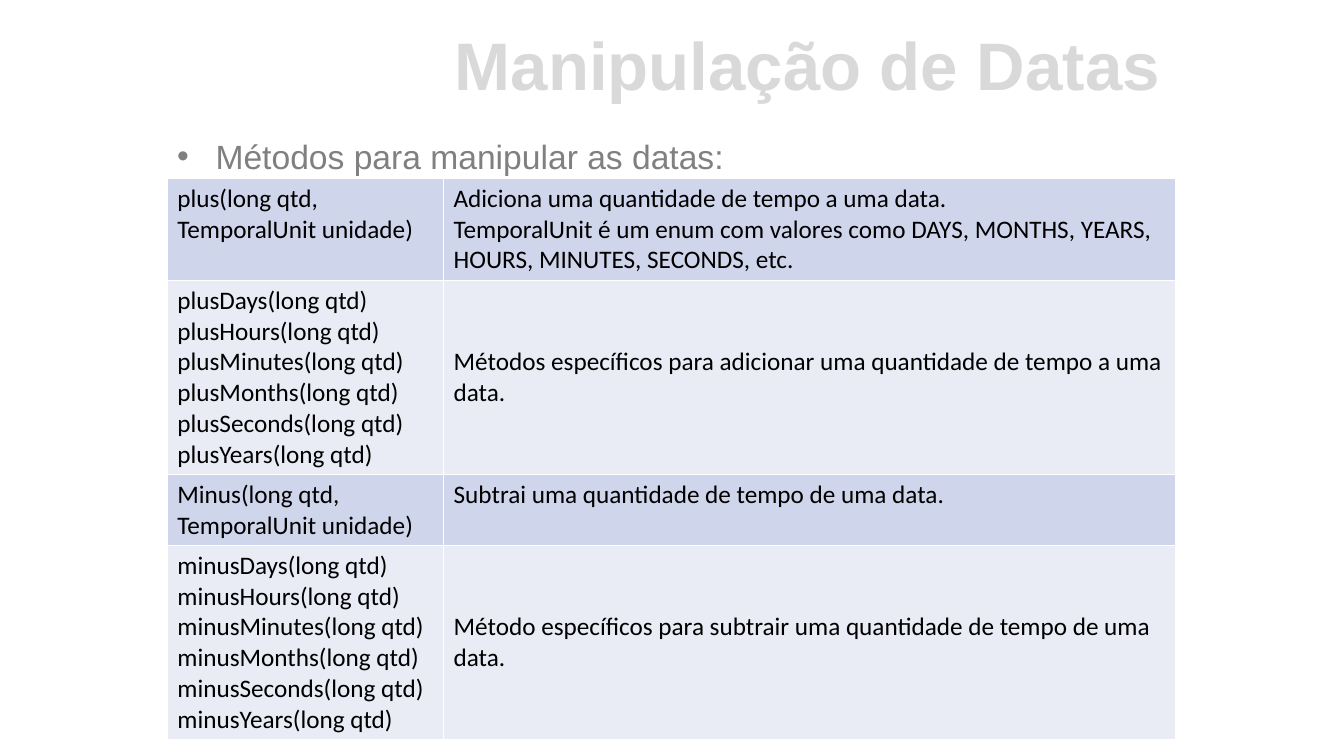
import pptx
import pptx.dml.color
import pptx.enum.text
import pptx.oxml.ns
import pptx.util
from lxml import etree

Inches, Pt = pptx.util.Inches, pptx.util.Pt
RGBColor = pptx.dml.color.RGBColor
PP_ALIGN = pptx.enum.text.PP_ALIGN
MSO_ANCHOR = pptx.enum.text.MSO_ANCHOR
qn = pptx.oxml.ns.qn

TITLE = "Manipulação de Datas"
INTRO = "Métodos para manipular as datas:"
UNITS = ["Days", "Hours", "Minutes", "Months", "Seconds", "Years"]

# Method signatures, description, row height, description anchor
ROWS = [
    (["plus(long qtd, TemporalUnit unidade)"],
     ["Adiciona uma quantidade de tempo a uma data.",
      "TemporalUnit é um enum com valores como DAYS, MONTHS, YEARS, "
      "HOURS, MINUTES, SECONDS, etc."],
     1.01, MSO_ANCHOR.TOP),
    ([f"plus{unit}(long qtd)" for unit in UNITS],
     ["Métodos específicos para adicionar uma quantidade de tempo a uma data."],
     1.93, MSO_ANCHOR.MIDDLE),
    (["Minus(long qtd, TemporalUnit unidade)"],
     ["Subtrai uma quantidade de tempo de uma data."],
     0.7, MSO_ANCHOR.TOP),
    ([f"minus{unit}(long qtd)" for unit in UNITS],
     ["Método específicos para subtrair uma quantidade de tempo de uma data."],
     1.93, MSO_ANCHOR.MIDDLE),
]
COLUMN_WIDTHS = [2.74, 7.26]
LEFT, TABLE_TOP = 1.66, 1.77

TITLE_GRAY = RGBColor(0xD9, 0xD9, 0xD9)
INTRO_GRAY = RGBColor(0x80, 0x80, 0x80)
BLACK = RGBColor(0, 0, 0)
WHITE = RGBColor(0xFF, 0xFF, 0xFF)
BANDS = [RGBColor(0xCF, 0xD5, 0xEA), RGBColor(0xE9, 0xEB, 0xF5)]


def format_text(text_frame, font_name, size, color, bold=False):
    for paragraph in text_frame.paragraphs:
        for run in paragraph.runs:
            run.font.name = font_name
            run.font.size = Pt(size)
            run.font.color.rgb = color
            run.font.bold = bold


def add_text(slide, box, text, size, color, bold=False):
    shape = slide.shapes.add_textbox(*map(Inches, box))
    shape.text_frame.word_wrap = True
    shape.text_frame.text = text
    format_text(shape.text_frame, "Arial", size, color, bold)
    return shape.text_frame


def add_bullet(paragraph, indent):
    properties = paragraph._p.get_or_add_pPr()
    properties.set("marL", str(Inches(indent)))
    properties.set("indent", str(-Inches(indent)))
    etree.SubElement(properties, qn("a:buFont"), typeface="Arial")
    etree.SubElement(properties, qn("a:buChar"), char="•")


def set_borders(cell, color, width):
    properties = cell._tc.get_or_add_tcPr()
    for position, side in enumerate(("a:lnL", "a:lnR", "a:lnT", "a:lnB")):
        line = etree.Element(qn(side), w=str(Pt(width)))
        fill = etree.SubElement(line, qn("a:solidFill"))
        etree.SubElement(fill, qn("a:srgbClr"), val=str(color))
        properties.insert(position, line)


def fill_cell(cell, lines, band, anchor):
    cell.text_frame.text = "\n".join(lines)
    format_text(cell.text_frame, "Calibri", 18, BLACK)
    cell.vertical_anchor = anchor
    cell.fill.solid()
    cell.fill.fore_color.rgb = band
    set_borders(cell, WHITE, 1)


def add_method_table(slide):
    heights = [row[2] for row in ROWS]
    table = slide.shapes.add_table(
        len(ROWS), len(COLUMN_WIDTHS), Inches(LEFT), Inches(TABLE_TOP),
        Inches(sum(COLUMN_WIDTHS)), Inches(sum(heights))).table
    table.first_row = False
    for column, width in zip(table.columns, COLUMN_WIDTHS):
        column.width = Inches(width)
    for index, (methods, description, height, anchor) in enumerate(ROWS):
        table.rows[index].height = Inches(height)
        band = BANDS[index % 2]
        fill_cell(table.cell(index, 0), methods, band, MSO_ANCHOR.TOP)
        fill_cell(table.cell(index, 1), description, band, anchor)


def main():
    presentation = pptx.Presentation()
    presentation.slide_width = Inches(13.33)
    presentation.slide_height = Inches(7.5)
    slide = presentation.slides.add_slide(presentation.slide_layouts[6])

    title = add_text(slide, (3.24, 0.28, 8.37, 0.81), TITLE, 48, TITLE_GRAY, True)
    title.vertical_anchor = MSO_ANCHOR.BOTTOM
    title.paragraphs[0].alignment = PP_ALIGN.RIGHT
    title.paragraphs[0].line_spacing = 0.9

    intro = add_text(slide, (LEFT, 1.3, 10, 0.6), INTRO, 24, INTRO_GRAY)
    intro.paragraphs[0].space_before = Pt(10)
    add_bullet(intro.paragraphs[0], 0.38)

    add_method_table(slide)
    presentation.save("out.pptx")


if __name__ == "__main__":
    main()
